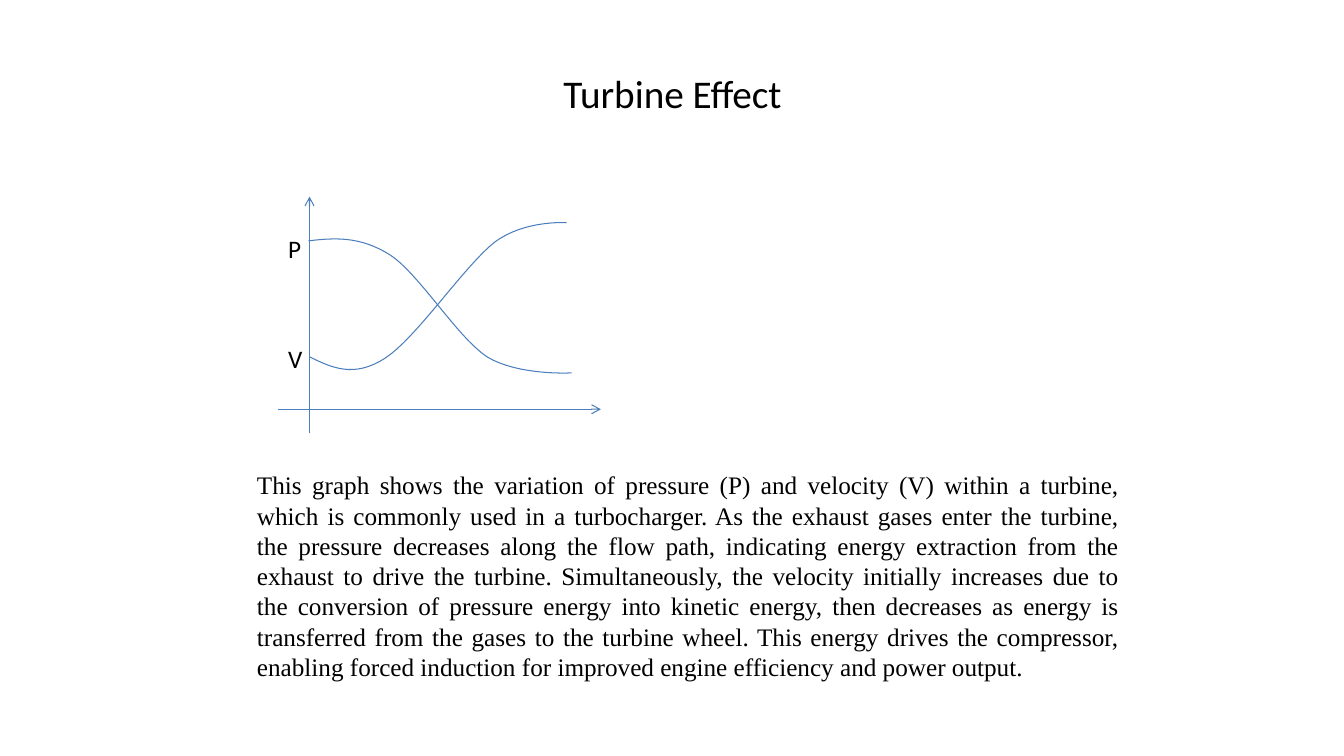
from pptx import Presentation
from pptx.dml.color import RGBColor
from pptx.enum.shapes import MSO_CONNECTOR
from pptx.enum.text import MSO_ANCHOR, PP_ALIGN
from pptx.oxml.ns import qn
from pptx.util import Inches, Pt
from lxml.etree import SubElement

COLORS = {"text": "000000", "line": "4B7EBC"}
STEPS = 16
AXES = [((3.07, 4.3), (3.07, 1.95)), ((2.76, 4.06), (5.96, 4.06))]
PRESSURE = [(3.06, 2.39), (3.31, 2.36), (3.57, 2.34), (3.87, 2.53), (4.16, 2.72),
            (4.53, 3.34), (4.83, 3.54), (5.14, 3.73), (5.67, 3.7), (5.67, 3.7)]
SPEED = [(3.07, 3.54), (3.29, 3.65), (3.51, 3.75), (3.81, 3.56), (4.12, 3.37),
         (4.61, 2.63), (4.91, 2.4), (5.21, 2.18), (5.62, 2.21), (5.62, 2.21)]
NOTE = (
    "This graph shows the variation of pressure (P) and velocity (V) within a turbine, "
    "which is commonly used in a turbocharger. As the exhaust gases enter the turbine, "
    "the pressure decreases along the flow path, indicating energy extraction from the "
    "exhaust to drive the turbine. Simultaneously, the velocity initially increases due to "
    "the conversion of pressure energy into kinetic energy, then decreases as energy is "
    "transferred from the gases to the turbine wheel. This energy drives the compressor, "
    "enabling forced induction for improved engine efficiency and power output."
)


def color(name):
    return RGBColor.from_string(COLORS[name])


def write(frame, text, size, font="Calibri", align=PP_ALIGN.LEFT):
    frame.word_wrap = True
    para = frame.paragraphs[0]
    para.alignment = align
    run = para.add_run()
    run.text = text
    run.font.size = Pt(size)
    run.font.name = font
    run.font.color.rgb = color("text")


def add_text(slide, box, text, **style):
    shape = slide.shapes.add_textbox(*map(Inches, box))
    write(shape.text_frame, text, 18, **style)


def add_title(slide, text):
    title = slide.shapes.title
    title.left, title.top, title.width, title.height = map(Inches, (0.67, 0.3, 12, 1.25))
    title.text_frame.vertical_anchor = MSO_ANCHOR.MIDDLE
    write(title.text_frame, text, 28, align=PP_ALIGN.CENTER)


def set_line(shape):
    shape.line.color.rgb = color("line")
    shape.line.width = Pt(0.75)


def add_axis(slide, start, end):
    axis = slide.shapes.add_connector(MSO_CONNECTOR.STRAIGHT, *map(Inches, start + end))
    set_line(axis)
    SubElement(axis.line._get_or_add_ln(), qn("a:tailEnd"), type="arrow")
    SubElement(axis._element.spPr, qn("a:effectLst"))


def bezier(knots, t):
    """Return the point at t on a cubic curve."""
    s = 1 - t
    parts = (s ** 3, 3 * s * s * t, 3 * s * t * t, t ** 3)
    return tuple(Inches(sum(w * k[axis] for w, k in zip(parts, knots))) for axis in (0, 1))


def add_curve(slide, knots):
    points = [bezier(knots[i:i + 4], step / STEPS)
              for i in range(0, len(knots) - 1, 3) for step in range(1, STEPS + 1)]
    build = slide.shapes.build_freeform(*map(Inches, knots[0]))
    build.add_line_segments(points, close=False)
    curve = build.convert_to_shape()
    curve.shadow.inherit = False
    curve.fill.background()
    set_line(curve)


def main():
    deck = Presentation()
    deck.slide_width, deck.slide_height = Inches(13.33), Inches(7.5)
    slide = deck.slides.add_slide(deck.slide_layouts[5])
    add_title(slide, "Turbine Effect")
    for start, end in AXES:
        add_axis(slide, start, end)
    for knots in (PRESSURE, SPEED):
        add_curve(slide, knots)
    for label, top in (("P", 2.27), ("V", 3.36)):
        add_text(slide, (2.76, top, 0.35, 0.4), label)
    add_text(slide, (2.45, 4.61, 8.75, 2.22), NOTE,
             font="Times New Roman", align=PP_ALIGN.JUSTIFY)
    deck.save("out.pptx")


if __name__ == "__main__":
    main()
